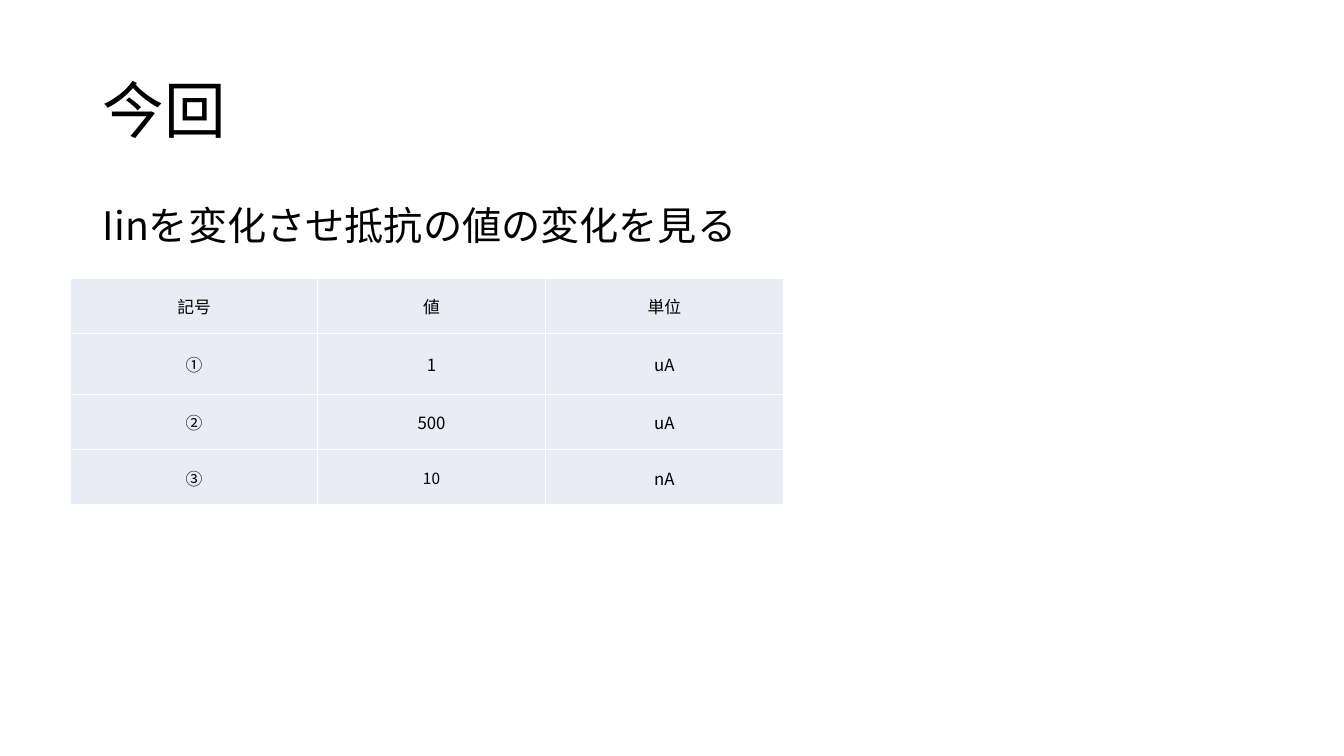
from lxml import etree
from pptx import Presentation
from pptx.dml.color import RGBColor
from pptx.enum.text import MSO_ANCHOR, MSO_AUTO_SIZE, PP_ALIGN
from pptx.oxml.ns import qn
from pptx.util import Inches, Pt

LEFT, CENTER = PP_ALIGN.LEFT, PP_ALIGN.CENTER
TOP, MIDDLE = MSO_ANCHOR.TOP, MSO_ANCHOR.MIDDLE
NO_FIT = MSO_AUTO_SIZE.NONE
TITLE_ONLY_WITH_BODY = 1

FONT = "Noto Sans CJK JP"
COLORS = {"text": "000000", "cell": "E9EBF5", "border": "FFFFFF"}

TITLE_BOX = (0.92, 0.4, 11.5, 1.45)
BODY_BOX = (0.92, 2, 11.5, 4.76)
TABLE_BOX = (0.7, 2.76, 7.07, 2.26)

TITLE_FORMAT = {"alignment": LEFT, "line_spacing": 0.9}
BODY_FORMAT = {"alignment": LEFT, "line_spacing": 0.9, "space_before": Pt(10)}
CELL_FORMAT = {
    "vertical_anchor": MIDDLE,
    "margin_left": Inches(0.01),
    "margin_right": Inches(0.01),
    "margin_top": Inches(0.01),
    "margin_bottom": 0,
}

COLUMN_WIDTHS = (2.45, 2.26, 2.36)
ROW_HEIGHTS = (0.55, 0.6, 0.55, 0.55)
CURRENTS = (
    ("記号", "値", "単位"),
    ("①", "1", "uA"),
    ("②", "500", "uA"),
    ("③", "10", "nA"),
)
SMALL_TEXTS = {"10": 11}


def apply_format(target, values):
    """Set every attribute in the format values on the target."""
    for name, value in values.items():
        setattr(target, name, value)


def write_text(para, text, size, values):
    """Write one formatted span into a paragraph."""
    apply_format(para, values)
    span = para.add_run()
    span.text = text
    apply_format(span.font, {"name": FONT, "size": Pt(size), "bold": False})
    span.font.color.rgb = RGBColor.from_string(COLORS["text"])
    latin = span.font._element.find(qn("a:latin"))
    east_asian = etree.Element(qn("a:ea"), typeface=FONT)
    latin.addnext(east_asian)


def fill_placeholder(holder, box, text, size, anchor, values):
    """Move a placeholder into its box and write its text."""
    places = map(Inches, box)
    apply_format(holder, dict(zip(("left", "top", "width", "height"), places)))
    frame = holder.text_frame
    apply_format(frame, {"word_wrap": True, "auto_size": NO_FIT, "vertical_anchor": anchor})
    write_text(frame.paragraphs[0], text, size, values)
    return frame.paragraphs[0]


def add_title(page, box):
    """Place the page title."""
    fill_placeholder(page.shapes.title, box, "今回", 44, MIDDLE, TITLE_FORMAT)


def add_body(page, box):
    """Place the unbulleted body statement."""
    text = "Iinを変化させ抵抗の値の変化を見る"
    para = fill_placeholder(page.placeholders[1], box, text, 28, TOP, BODY_FORMAT)
    settings = para._p.get_or_add_pPr()
    settings.set("marL", "0")
    settings.set("indent", "0")
    etree.SubElement(settings, qn("a:buNone"))


def add_borders(cell):
    """Draw a one-point line on each side of a cell."""
    settings = cell._tc.get_or_add_tcPr()
    for position, side in enumerate(("lnL", "lnR", "lnT", "lnB")):
        line = etree.Element(qn(f"a:{side}"), w=str(Pt(1)))
        fill = etree.SubElement(line, qn("a:solidFill"))
        etree.SubElement(fill, qn("a:srgbClr"), val=COLORS["border"])
        settings.insert(position, line)


def add_current_table(page, box):
    """Place the table of input currents."""
    rows, columns = len(CURRENTS), len(COLUMN_WIDTHS)
    table = page.shapes.add_table(rows, columns, *map(Inches, box)).table
    apply_format(table, {"first_row": False, "horz_banding": False})
    for column, width in zip(table.columns, COLUMN_WIDTHS):
        column.width = Inches(width)
    for row, height, texts in zip(table.rows, ROW_HEIGHTS, CURRENTS):
        row.height = Inches(height)
        for cell, text in zip(row.cells, texts):
            apply_format(cell, CELL_FORMAT)
            cell.fill.solid()
            cell.fill.fore_color.rgb = RGBColor.from_string(COLORS["cell"])
            add_borders(cell)
            size = SMALL_TEXTS.get(text, 12)
            write_text(cell.text_frame.paragraphs[0], text, size, {"alignment": CENTER})


def main():
    """Build and save the deck."""
    deck = Presentation()
    apply_format(deck, {"slide_width": Inches(13.33), "slide_height": Inches(7.5)})
    page = deck.slides.add_slide(deck.slide_layouts[TITLE_ONLY_WITH_BODY])
    add_title(page, TITLE_BOX)
    add_body(page, BODY_BOX)
    add_current_table(page, TABLE_BOX)
    deck.save("out.pptx")


if __name__ == "__main__":
    main()
